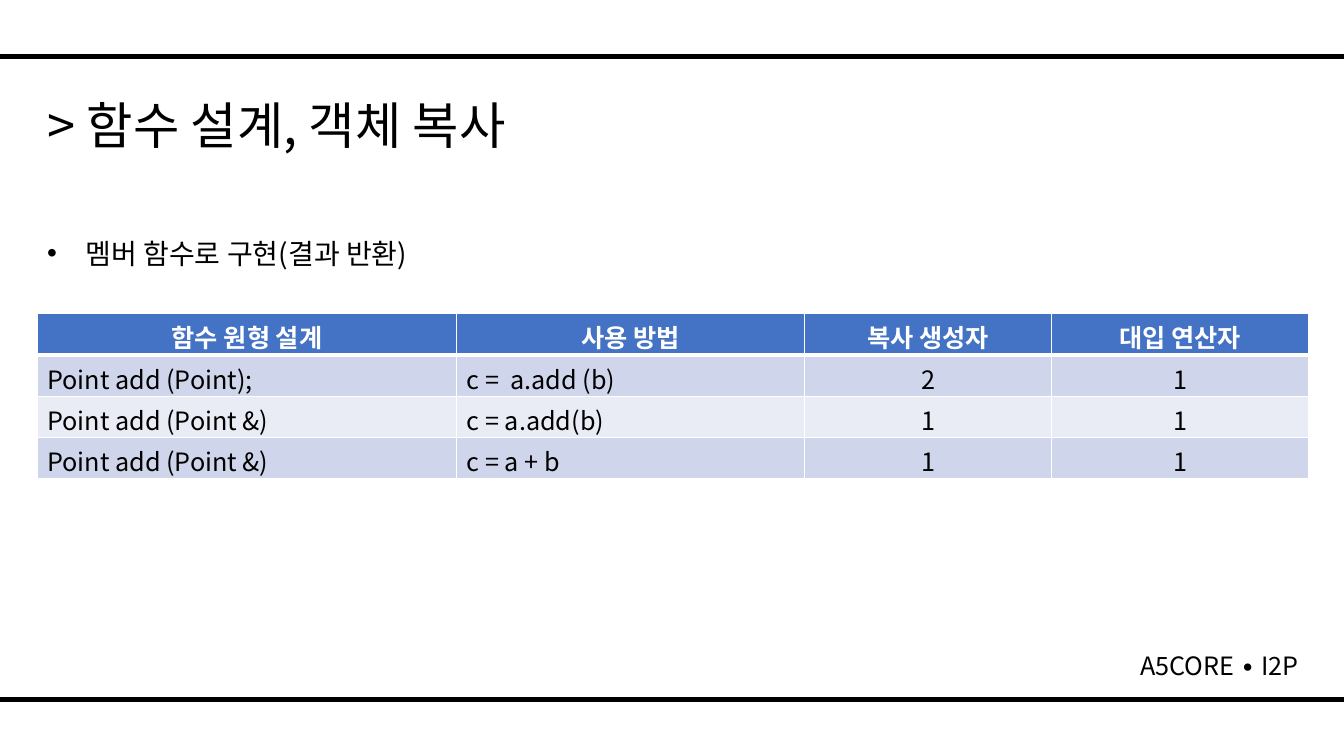
import pptx
import pptx.dml.color
import pptx.enum.shapes
import pptx.enum.text
import pptx.oxml
import pptx.oxml.ns
import pptx.util
from pptx.util import Inches

FONT = "Noto Sans CJK KR"
COLORS = {
    "ink": "000000",
    "paper": "FFFFFF",
    "header": "4472C4",
    "band_dark": "CFD5EA",
    "band_light": "E9EBF5",
}
ALIGN = pptx.enum.text.PP_ALIGN
FIT = pptx.enum.text.MSO_AUTO_SIZE

COLUMN_WIDTHS = [4.16, 3.45, 2.45, 2.55]
ROW_HEIGHT = 0.41
FUNCTION_ROWS = [
    ["함수 원형 설계", "사용 방법", "복사 생성자", "대입 연산자"],
    ["Point add (Point);", "c =  a.add (b)", "2", "1"],
    ["Point add (Point &)", "c = a.add(b)", "1", "1"],
    ["Point add (Point &)", "c = a + b", "1", "1"],
]


def rgb(name):
    return pptx.dml.color.RGBColor.from_string(COLORS[name])


def xml(tag, attributes="", content=""):
    namespace = pptx.oxml.ns.nsdecls("a")
    return pptx.oxml.parse_xml(
        f"<a:{tag} {namespace} {attributes}>{content}</a:{tag}>")


def place(shape, left, top, width, height):
    shape.left, shape.top = Inches(left), Inches(top)
    shape.width, shape.height = Inches(width), Inches(height)


def write(frame, text, size, color="ink", bold=False, align=ALIGN.LEFT):
    frame.text = text
    para = frame.paragraphs[0]
    para.alignment = align
    for span in para.runs:
        font = span.font
        font.name, font.size, font.bold = FONT, pptx.util.Pt(size), bold
        font.color.rgb = rgb(color)
        # East Asian glyphs take their own typeface entry
        font._element.find(pptx.oxml.ns.qn("a:latin")).addnext(
            xml("ea", f'typeface="{FONT}"'))
    return para


def add_frame(page):
    frame = page.shapes.add_shape(
        pptx.enum.shapes.MSO_SHAPE.RECTANGLE,
        Inches(-0.56), Inches(0.56), Inches(14.29), Inches(6.38))
    frame.shadow.inherit = False
    frame.fill.background()
    frame.line.color.rgb = rgb("ink")
    frame.line.width = pptx.util.Pt(4)


def add_title(page, text):
    title = page.shapes.title
    place(title, 0.37, 0.88, 12.6, 0.71)
    write(title.text_frame, text, 36)
    title.text_frame.vertical_anchor = pptx.enum.text.MSO_ANCHOR.TOP
    title.text_frame.auto_size = FIT.SHAPE_TO_FIT_TEXT


def add_text(page, text, size, *bounds, fit=FIT.NONE):
    box = page.shapes.add_textbox(*map(Inches, bounds))
    box.text_frame.word_wrap = True
    box.text_frame.auto_size = fit
    return write(box.text_frame, text, size)


def make_bullet(para):
    para.line_spacing = 1.5
    properties = para._p.get_or_add_pPr()
    properties.set("marL", str(Inches(0.38)))
    properties.set("indent", str(-Inches(0.38)))
    properties.append(xml("buFont", 'typeface="Arial"'))
    properties.append(xml("buChar", 'char="•"'))


def set_borders(cell, top, bottom):
    fill = f'<a:solidFill><a:srgbClr val="{COLORS["paper"]}"/></a:solidFill>'
    sides = {"lnL": 1, "lnR": 1, "lnT": top, "lnB": bottom}
    properties = cell._tc.get_or_add_tcPr()
    for index, (side, points) in enumerate(sides.items()):
        width = pptx.util.Pt(points)
        properties.insert(index, xml(side, f'w="{width}"', fill))


def add_function_table(page, rows):
    table = page.shapes.add_table(
        len(rows), len(COLUMN_WIDTHS), Inches(0.37), Inches(3.11),
        Inches(sum(COLUMN_WIDTHS)), Inches(ROW_HEIGHT * len(rows))).table
    for column, width in zip(table.columns, COLUMN_WIDTHS):
        column.width = Inches(width)
    for r, values in enumerate(rows):
        table.rows[r].height = Inches(ROW_HEIGHT)
        header = r == 0
        band = "header" if header else ("band_light", "band_dark")[r % 2]
        for c, value in enumerate(values):
            cell = table.cell(r, c)
            cell.fill.solid()
            cell.fill.fore_color.rgb = rgb(band)
            centred = header or c >= 2
            write(cell.text_frame, value, 18,
                  "paper" if header else "ink", header,
                  ALIGN.CENTER if centred else ALIGN.LEFT)
            set_borders(cell, 3 if r == 1 else 1, 3 if header else 1)


def main():
    deck = pptx.Presentation()
    deck.slide_width, deck.slide_height = Inches(13.33), Inches(7.5)
    page = deck.slides.add_slide(deck.slide_layouts[5])

    # Frame and footer
    add_frame(page)
    add_text(page, "A5CORE ∙ I2P", 18, 11.21, 6.4, 1.89, 0.4,
             fit=FIT.SHAPE_TO_FIT_TEXT)

    # Title and bullet
    add_title(page, "> 함수 설계, 객체 복사")
    make_bullet(add_text(page, "멤버 함수로 구현(결과 반환)", 20,
                         0.37, 2.13, 12.73, 3.24))

    # Comparison of function designs
    add_function_table(page, FUNCTION_ROWS)

    deck.save("out.pptx")


main()
